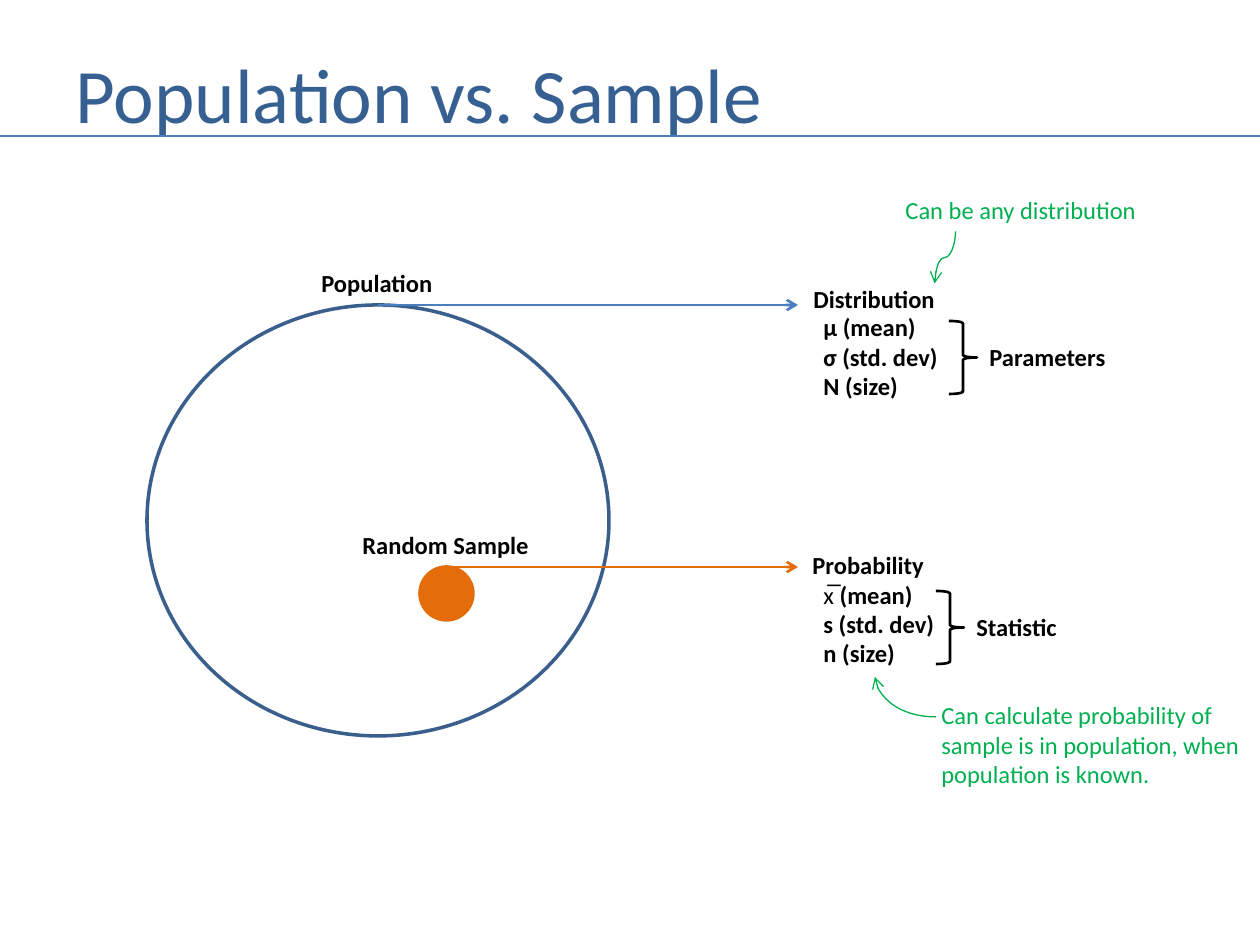
from lxml import etree
from pptx import Presentation
from pptx.dml.color import RGBColor
from pptx.enum.shapes import MSO_CONNECTOR, MSO_SHAPE
from pptx.enum.text import MSO_ANCHOR, MSO_AUTO_SIZE, PP_ALIGN
from pptx.oxml.ns import qn
from pptx.util import Emu, Inches, Pt

STRAIGHT, CURVE = MSO_CONNECTOR.STRAIGHT, MSO_CONNECTOR.CURVE
OVAL, BRACE = MSO_SHAPE.OVAL, MSO_SHAPE.RIGHT_BRACE
LEFT, MIDDLE, FIT = PP_ALIGN.LEFT, MSO_ANCHOR.MIDDLE, MSO_AUTO_SIZE.SHAPE_TO_FIT_TEXT
TITLE_ONLY = 5

BLACK, GREEN, ORANGE = "000000", "00B050", "E46C0A"
BLUE, NAVY, TITLE_BLUE = "4B7EBC", "3A5F8C", "376092"
BOLD = {"size": Pt(14), "name": "Calibri", "bold": True}
PLAIN = {**BOLD, "bold": False}
TITLE = {**PLAIN, "size": Pt(44)}


def px(*values):
    return [Emu(round(v * 914400 / 126)) for v in values]


def rgb(color):
    return RGBColor.from_string(color)


class Diagram:
    """Draws styled elements on the current slide."""

    def __init__(self, slide):
        self.s = slide

    def run(self, p, text, fmt, color):
        r = p.add_run()
        r.text = text
        for name, value in fmt.items():
            setattr(r.font, name, value)
        r.font.color.rgb = rgb(color)

    def title(self, text, box):
        sp = self.s.shapes.title
        sp.left, sp.top, sp.width, sp.height = px(*box)
        sp.text_frame.vertical_anchor = MIDDLE
        p = sp.text_frame.paragraphs[0]
        p.alignment = LEFT
        self.run(p, text, TITLE, TITLE_BLUE)

    def text(self, lines, box, fmt=BOLD, color=BLACK, indent=0):
        """Each line is a list of (text, format) runs or a string; indent skips the first line."""
        tf = self.s.shapes.add_textbox(*px(*box)).text_frame
        tf.word_wrap, tf.auto_size = False, FIT
        for i, line in enumerate(lines):
            p = tf.add_paragraph() if i else tf.paragraphs[0]
            p.alignment = LEFT
            if i and indent:
                p._p.get_or_add_pPr().set("marL", str(px(indent)[0]))
            for text, style in [(line, fmt)] if isinstance(line, str) else line:
                self.run(p, text, style, color)

    def shape(self, kind, box, line, width=2, fill=None):
        sp = self.s.shapes.add_shape(kind, *px(*box))
        sp.shadow.inherit = False
        if fill:
            sp.fill.solid()
            sp.fill.fore_color.rgb = rgb(fill)
        else:
            sp.fill.background()
        sp.line.color.rgb, sp.line.width = rgb(line), Pt(width)

    def connector(self, ends, color, width=1.5, kind=STRAIGHT, arrow=True, preset=None, turn=0):
        c = self.s.shapes.add_connector(kind, *px(*ends))
        c.line.color.rgb, c.line.width = rgb(color), Pt(width)
        pr = c._element.spPr
        if arrow:
            etree.SubElement(c.line._get_or_add_ln(), qn("a:tailEnd"), type="arrow")
        if preset:
            pr.find(qn("a:prstGeom")).set("prst", preset)
        if turn:
            pr.find(qn("a:xfrm")).set("rot", str(turn * 60000))
        etree.SubElement(pr, qn("a:effectLst"))

    def brace(self, x, y, label, width):
        self.shape(BRACE, (x, y, 28, 73), BLACK, 1.5)
        self.text([label], (x + 28, y + 15, width, 43))


def main():
    prs = Presentation()
    prs.slide_width, prs.slide_height = Inches(10), Inches(7.5)
    d = Diagram(prs.slides.add_slide(prs.slide_layouts[TITLE_ONLY]))

    # Title and rule
    d.title("Population vs. Sample", (63, 38, 1144, 110))
    d.connector((0, 136, 1260, 136), BLUE, arrow=False)

    # Population and the sample inside it
    d.shape(OVAL, (147, 305, 462, 431), NAVY)
    d.shape(OVAL, (420, 567, 53, 53), ORANGE, fill=ORANGE)
    d.text(["Population"], (309, 262, 137, 43))
    d.text(["Random Sample"], (350, 524, 193, 43))
    d.connector((378, 305, 798, 305), BLUE)
    d.connector((447, 567, 798, 567), ORANGE)

    # Population parameters
    d.text(["Distribution"], (801, 278, 149, 43))
    d.text(["µ (mean)", "σ (std. dev)", "N (size)"], (811, 306, 144, 102))
    d.brace(949, 321, "Parameters", 142)

    # Sample statistics
    mean = [("x̅", PLAIN), (" (mean)", BOLD)]
    d.text(["Probability", mean, "s (std. dev)", "n (size)"], (800, 544, 147, 131), indent=11)
    d.brace(936, 591, "Statistic", 107)

    # Green remarks with curved arrows
    d.text(["Can be any distribution"], (893, 189, 258, 43), PLAIN, GREEN)
    d.connector((919, 247, 971, 268), GREEN, 0.75, CURVE, turn=90)
    d.text(["Can calculate probability of", "sample is in population, when",
            "population is known."], (929, 694, 326, 102), PLAIN, GREEN)
    d.connector((936, 717, 875, 677), GREEN, 0.75, CURVE, preset="curvedConnector2")

    prs.save("out.pptx")


if __name__ == "__main__":
    main()
